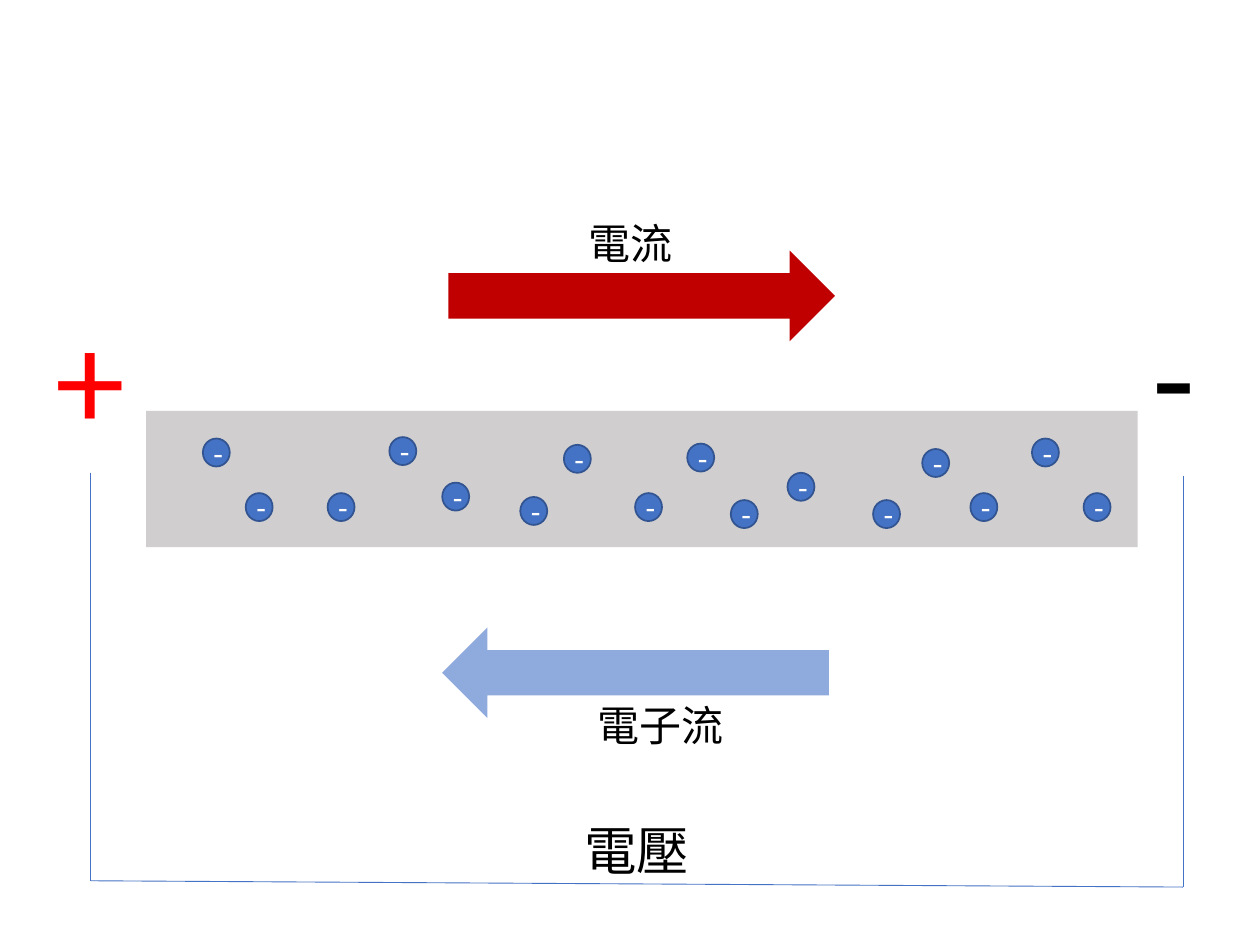
from lxml.etree import SubElement
from pptx import Presentation
from pptx.dml.color import RGBColor
from pptx.enum.shapes import MSO_CONNECTOR, MSO_SHAPE
from pptx.enum.text import MSO_ANCHOR, MSO_AUTO_SIZE, PP_ALIGN
from pptx.oxml.ns import qn
from pptx.util import Pt

COLORS = {
    "conductor": "D0CECE", "electron": "4472C4", "electron_edge": "325491",
    "current": "C00000", "electron_flow": "8FAADC", "wire": "4472C4",
    "positive": "FF0000", "text": "000000", "charge": "FFFFFF",
}
LATIN_FONT = "Calibri"
CHINESE_FONT = "Noto Sans CJK JP"
ELECTRON_SIZE = (15.4, 16)
ELECTRON_OFFSETS = [
    (32.4, 15.8), (56.9, 47), (103.7, 47), (139, 15), (169.2, 41),
    (213.8, 49.2), (238.7, 19.4), (279.4, 47), (309.2, 18.7), (334.1, 51),
    (366.5, 35.4), (415.4, 51), (443.5, 21.8), (471, 47), (506.2, 15.8),
    (535.7, 47),
]


def rgb(name):
    """Return the named palette colour."""
    return RGBColor.from_string(COLORS[name])


def add_filled_shape(slide, kind, box, fill, edge=None):
    """Draw a flat preset shape, with an outline when an edge colour is named."""
    shape = slide.shapes.add_shape(kind, *map(Pt, box))
    shape.shadow.inherit = False
    shape.fill.solid()
    shape.fill.fore_color.rgb = rgb(fill)
    if edge:
        shape.line.color.rgb = rgb(edge)
        shape.line.width = Pt(1)
    else:
        shape.line.fill.background()
    return shape


def write_run(paragraph, text, size, color, font=LATIN_FONT):
    """Add one formatted run, using the font for Latin and Chinese alike."""
    run = paragraph.add_run()
    run.text = text
    run.font.size = Pt(size)
    run.font.name = font
    run.font.color.rgb = rgb(color)
    SubElement(run.font._element, qn("a:ea")).set("typeface", font)


def add_label(slide, box, text, size, color="text", font=CHINESE_FONT,
              alignment=PP_ALIGN.CENTER):
    """Place a one-line label in its own text box."""
    frame = slide.shapes.add_textbox(*map(Pt, box)).text_frame
    frame.word_wrap = True
    frame.auto_size = MSO_AUTO_SIZE.SHAPE_TO_FIT_TEXT
    paragraph = frame.paragraphs[0]
    paragraph.alignment = alignment
    write_run(paragraph, text, size, color, font)


def add_conductor(slide, box):
    """Draw the conductor bar and the electrons scattered inside it."""
    add_filled_shape(slide, MSO_SHAPE.RECTANGLE, box, "conductor")
    left, top = box[:2]
    for across, down in ELECTRON_OFFSETS:
        electron = add_filled_shape(
            slide, MSO_SHAPE.OVAL, (left + across, top + down, *ELECTRON_SIZE),
            "electron", "electron_edge")
        frame = electron.text_frame
        frame.vertical_anchor = MSO_ANCHOR.MIDDLE
        paragraph = frame.paragraphs[0]
        paragraph.alignment = PP_ALIGN.CENTER
        write_run(paragraph, "-", 18, "charge")


def add_flow(slide, box, fill, text, label_offset, rotation=0):
    """Draw a flow arrow with its label offset from the arrow's corner."""
    arrow = add_filled_shape(slide, MSO_SHAPE.RIGHT_ARROW, box, fill)
    arrow.rotation = rotation
    across, down = label_offset
    add_label(slide, (box[0] + across, box[1] + down, 103, 36), text, 24)


def add_circuit(slide, box):
    """Draw the poles, the wires and the voltage label of the circuit."""
    left, top, width, height = box
    right, bottom = left + width, top + height
    for text, color, pole_box in (
            ("+", "positive", (left - 27.4, top - 107.3, 134, 200.9)),
            ("-", "text", (right - 24.5, top - 108.7, 51.1, 200.9))):
        add_label(slide, pole_box, text, 80, color, LATIN_FONT, PP_ALIGN.LEFT)
    add_label(slide, (left + 260.6, bottom - 43.2, 103, 44), "電壓", 30)
    left_end, right_end = (left, bottom - 3.6), (right, bottom)
    for start, end in (((left, top), left_end), ((right, top + 2.2), right_end),
                       (right_end, left_end)):
        wire = slide.shapes.add_connector(
            MSO_CONNECTOR.STRAIGHT, *map(Pt, start + end))
        wire.line.color.rgb = rgb("wire")
        wire.line.width = Pt(0.5)
        SubElement(wire._element.spPr, qn("a:effectLst"))


def main():
    """Build the slide on current and electron flow."""
    presentation = Presentation()
    presentation.slide_width, presentation.slide_height = Pt(720), Pt(540)
    slide = presentation.slides.add_slide(presentation.slide_layouts[6])
    add_conductor(slide, (83.5, 234.8, 566.6, 77.8))
    add_flow(slide, (256.2, 143.2, 221, 51.8), "current", "電流", (52.7, -22.3))
    add_flow(slide, (252.6, 358.5, 221, 51.8), "electron_flow", "電子流",
             (73.5, 37.5), 180)
    add_circuit(slide, (51.8, 270, 624.2, 506.9 - 270))
    presentation.save("out.pptx")


if __name__ == "__main__":
    main()
